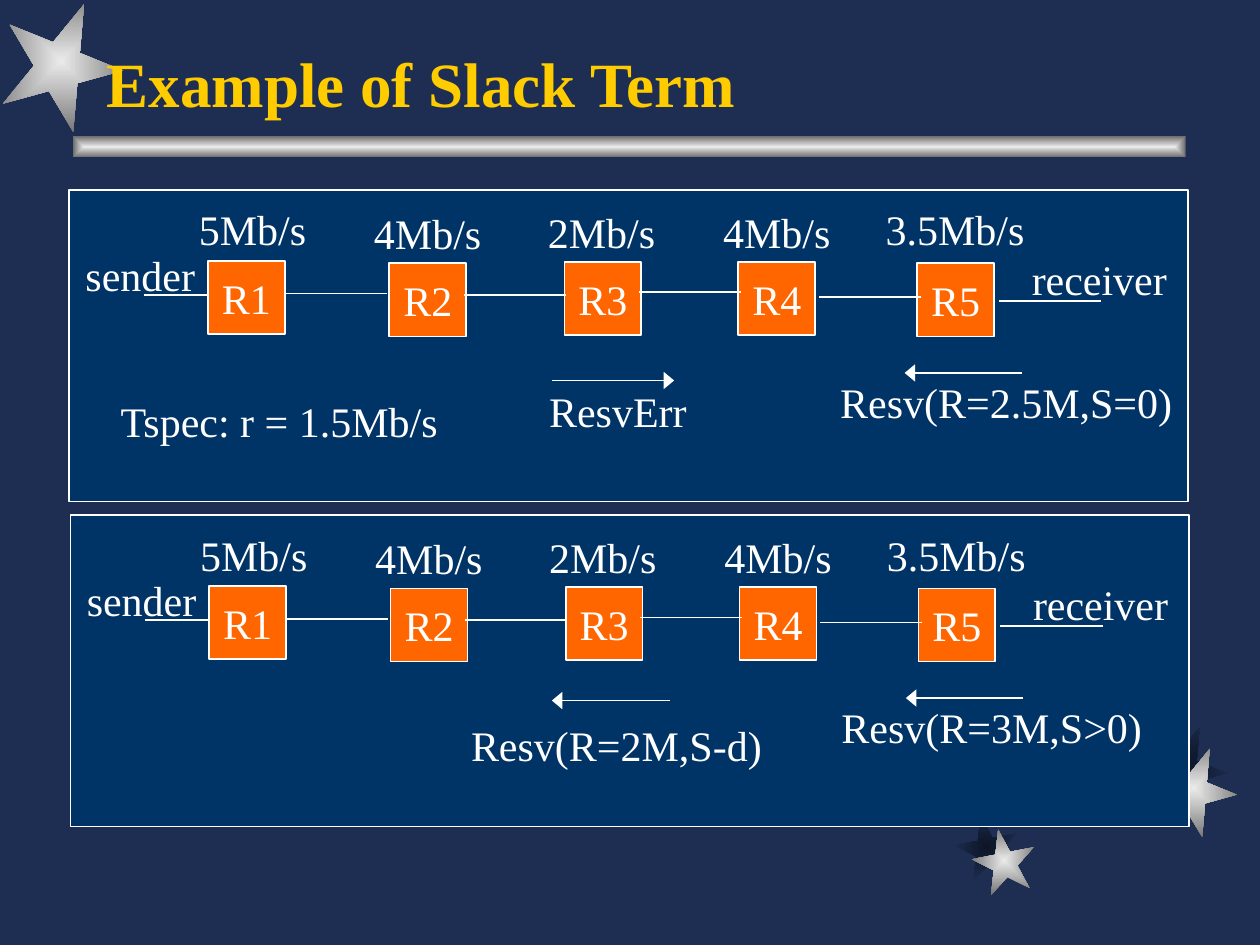
from dataclasses import dataclass
from typing import Optional

from lxml import etree
from pptx import Presentation
from pptx import util as u
from pptx.dml.color import RGBColor
from pptx.enum import shapes, text
from pptx.oxml import ns

NAVY = RGBColor(0x1E, 0x2E, 0x53)
SHADOW = RGBColor(0x0D, 0x15, 0x26)
SILVER = RGBColor(0xEA, 0xEA, 0xEA)
GRAY = RGBColor(0x6B, 0x6B, 0x6B)
GOLD = RGBColor(0xFF, 0xCC, 0x00)
BLUE = RGBColor(0x00, 0x33, 0x66)
ORANGE = RGBColor(0xFF, 0x66, 0x00)
WHITE = RGBColor(0xFF, 0xFF, 0xFF)

FONT = "Times New Roman"
WIDTH, HEIGHT = u.Inches(10), u.Inches(7.5)
COLUMN, ROW = WIDTH / 100, HEIGHT / 75  # the grid that all lengths count in
LABEL_ROWS = 5
ROUTER_SIZE = (6.1, 5.8)
LINK_COLUMNS = 8.1
PANEL_SIZE = (88.8, 24.7)


@dataclass(frozen=True)
class Area:
    column: float
    row: float
    columns: float
    rows: float

    def emu(self) -> tuple[int, int, int, int]:
        return (round(self.column * COLUMN), round(self.row * ROW),
                round(self.columns * COLUMN), round(self.rows * ROW))


@dataclass(frozen=True)
class Hop:
    """A router, the rate above it and the link that leaves it."""
    router: tuple[float, float]
    rate: str
    rate_at: tuple[float, float]
    rate_columns: float
    link: tuple[float, float]


@dataclass(frozen=True)
class Message:
    """A label, with an arrow as (start column, end column, row) if it has one."""
    words: str
    at: tuple[float, float]
    columns: float
    arrow: Optional[tuple[float, float, float]] = None


@dataclass(frozen=True)
class Panel:
    column: float
    row: float
    messages: tuple[Message, ...]


# Hops and messages count from the top left corner of their panel.
HOPS = (
    Hop((11, 5.6), "5Mb/s", (9.3, 0.6), 10.6, (17.1, 8.2)),
    Hop((25.4, 5.8), "4Mb/s", (23.2, 0.9), 10.6, (31.3, 8.3)),
    Hop((39.3, 5.7), "2Mb/s", (37, 0.8), 10.6, (45.2, 8.1)),
    Hop((53.1, 5.7), "4Mb/s", (50.9, 0.8), 10.6, (59.5, 8.5)),
    Hop((67.3, 5.8), "3.5Mb/s", (63.8, 0.6), 13.1, (73.8, 8.8)),
)
ENDS = (
    Message("sender", (0.3, 4.2), 10.8),
    Message("receiver", (75.4, 4.5), 12.8),
)
PANELS = (
    Panel(5.5, 15.1, (
        Message("Resv(R=2.5M,S=0)", (60.2, 14.3), 28.6, (75.6, 66.3, 14.5)),
        Message("ResvErr", (37.1, 15), 13, (38.3, 48, 15.1)),
        Message("Tspec: r = 1.5Mb/s", (3.1, 15.8), 27.6),
    )),
    Panel(5.6, 40.9, (
        Message("Resv(R=3M,S>0)", (60.2, 14.3), 26.1, (75.6, 66.3, 14.5)),
        Message("Resv(R=2M,S-d)", (30.8, 15.7), 25.3, (47.6, 38.2, 14.7)),
    )),
)


def write(frame, words: str, size: float = 24, color: RGBColor = WHITE, bold: bool = False) -> None:
    run = frame.paragraphs[0].add_run()
    run.text = words
    run.font.name, run.font.size, run.font.bold = FONT, u.Pt(size), bold
    run.font.color.rgb = color


def add_label(slide, words: str, area: Area) -> None:
    frame = slide.shapes.add_textbox(*area.emu()).text_frame
    frame.word_wrap = False
    frame.auto_size = text.MSO_AUTO_SIZE.SHAPE_TO_FIT_TEXT
    write(frame, words)


def add_title(slide, words: str, area: Area) -> None:
    frame = slide.shapes.add_textbox(*area.emu()).text_frame
    frame.word_wrap = True
    frame.vertical_anchor = text.MSO_ANCHOR.BOTTOM
    write(frame, words, 36, GOLD, True)


def add_box(slide, area: Area, color: RGBColor):
    shape = slide.shapes.add_shape(shapes.MSO_SHAPE.RECTANGLE, *area.emu())
    shape.shadow.inherit = False
    shape.fill.solid()
    shape.fill.fore_color.rgb = color
    shape.line.color.rgb = WHITE
    shape.line.width = u.Pt(1)
    return shape


def add_router(slide, name: str, area: Area) -> None:
    frame = add_box(slide, area, ORANGE).text_frame
    frame.word_wrap = False
    frame.vertical_anchor = text.MSO_ANCHOR.MIDDLE
    frame.paragraphs[0].alignment = text.PP_ALIGN.CENTER
    write(frame, name)


def add_line(slide, start: float, end: float, row: float, arrow: bool = False) -> None:
    y = round(row * ROW)
    line = slide.shapes.add_connector(
        shapes.MSO_CONNECTOR.STRAIGHT, round(start * COLUMN), y, round(end * COLUMN), y)
    line.line.color.rgb = WHITE
    line.line.width = u.Pt(1)
    if arrow:
        etree.SubElement(line.line._get_or_add_ln(), ns.qn("a:tailEnd"), type="triangle", w="lg")
    etree.SubElement(line._element.spPr, ns.qn("a:effectLst"))


def add_ornament(slide, kind: shapes.MSO_SHAPE, area: Area, center: RGBColor,
                 edge: RGBColor, rotation: float = 0) -> None:
    """Draw a shape whose colour runs from its center out to its edge."""
    shape = slide.shapes.add_shape(kind, *area.emu())
    shape.shadow.inherit = False
    shape.rotation = rotation
    shape.line.fill.background()
    shape.fill.gradient()
    for stop, color in zip(shape.fill.gradient_stops, (center, edge)):
        stop.color.rgb = color
    linear = shape._element.spPr.find(".//" + ns.qn("a:lin"))
    gradient = linear.getparent()
    gradient.remove(linear)
    rectangle = etree.SubElement(gradient, ns.qn("a:path"), path="rect")
    etree.SubElement(rectangle, ns.qn("a:fillToRect"),
                     {side: "50000" for side in "ltrb"})


def add_backdrop(slide) -> None:
    slide.background.fill.solid()
    slide.background.fill.fore_color.rgb = NAVY
    star = shapes.MSO_SHAPE.STAR_5_POINT
    add_ornament(slide, star, Area(75.8, 64.7, 5, 5), SHADOW, NAVY, 349)
    add_ornament(slide, star, Area(90.6, 57.5, 6.7, 6.7), SHADOW, NAVY, 22)
    add_ornament(slide, star, Area(77.2, 65.8, 5, 5), SILVER, GRAY, 349)
    add_ornament(slide, star, Area(91.4, 59.2, 6.7, 6.7), SILVER, GRAY, 22)
    add_ornament(slide, shapes.MSO_SHAPE.RECTANGLE, Area(5.8, 10.8, 88.3, 1.7), SILVER, GRAY)
    add_ornament(slide, star, Area(0, 0, 9.7, 9.7), SILVER, GRAY, 22)


def add_panel(slide, panel: Panel) -> None:
    def place(at: tuple[float, float], columns: float, rows: float = LABEL_ROWS) -> Area:
        return Area(panel.column + at[0], panel.row + at[1], columns, rows)

    def connect(start: float, end: float, row: float, arrow: bool = False) -> None:
        add_line(slide, panel.column + start, panel.column + end, panel.row + row, arrow)

    add_box(slide, place((0, 0), *PANEL_SIZE), BLUE)
    for number, hop in enumerate(HOPS, 1):
        add_router(slide, f"R{number}", place(hop.router, *ROUTER_SIZE))
    connect(5.9, 11.1, 8.3)
    for hop in HOPS:
        column, row = hop.link
        connect(column, column + LINK_COLUMNS, row)
        add_label(slide, hop.rate, place(hop.rate_at, hop.rate_columns))
    for message in ENDS + panel.messages:
        add_label(slide, message.words, place(message.at, message.columns))
        if message.arrow:
            connect(*message.arrow, arrow=True)


def main() -> None:
    presentation = Presentation()
    presentation.slide_width, presentation.slide_height = WIDTH, HEIGHT
    slide = presentation.slides.add_slide(presentation.slide_layouts[6])
    add_backdrop(slide)
    add_title(slide, "Example of Slack Term", Area(7.5, 2.5, 85, 7.5))
    for panel in PANELS:
        add_panel(slide, panel)
    presentation.save("out.pptx")


if __name__ == "__main__":
    main()
